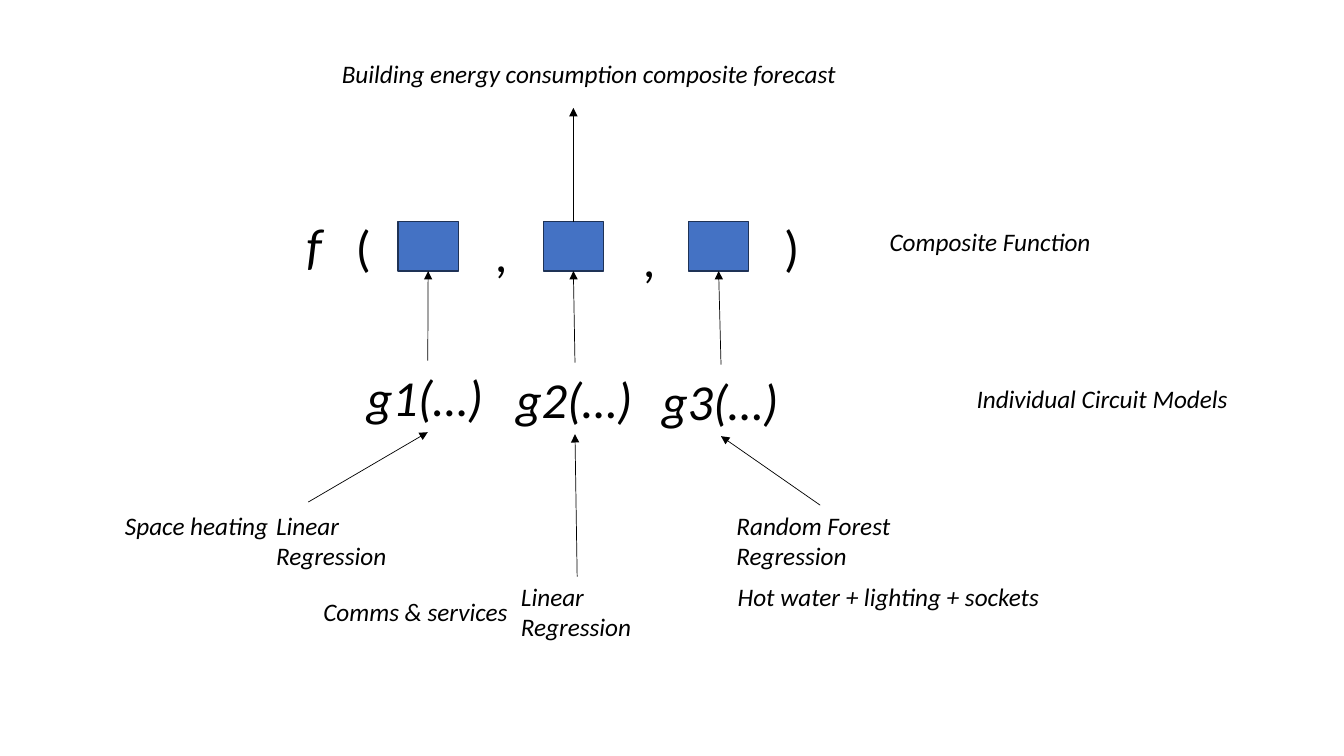
from dataclasses import dataclass

from lxml import etree
from pptx import Presentation
from pptx.dml.color import RGBColor
from pptx.enum import shapes, text
from pptx.oxml import ns
from pptx.util import Cm, Pt

TOP, BOTTOM = 0, 2
SMALL_LINE, LARGE_LINE = 1.02, 1.8


@dataclass(frozen=True)
class Theme:
    font: str = "Calibri"
    ink: RGBColor = RGBColor(0x00, 0x00, 0x00)
    slot_fill: RGBColor = RGBColor(0x44, 0x72, 0xC4)
    slot_edge: RGBColor = RGBColor(0x1E, 0x32, 0x56)
    formula: int = 36
    label: int = 18
    edge: float = 1
    arrow: float = 0.5


@dataclass(frozen=True)
class Label:
    text: str
    left: float
    top: float
    width: float
    height: float = SMALL_LINE
    size: int = Theme.label
    italic: bool = True


@dataclass(frozen=True)
class Symbol(Label):
    """A large sign of the formula."""
    height: float = LARGE_LINE
    size: int = Theme.formula


THEME = Theme()
SLOT_LEFT, SLOT_TOP, SLOT_STEP = 10.03, 5.59, 3.66
SLOT_WIDTH, SLOT_HEIGHT = 1.52, 1.24

TITLE = Label("Building energy consumption composite forecast", 8.36, 1.35, 13.11)
SIGNS = (
    Symbol("f", 7.47, 5.26, 0.91),
    Symbol("(", 8.71, 5.31, 0.89, italic=False),
    Symbol(",", 12.22, 5.46, 0.84, italic=False),
    Symbol(",", 15.95, 5.59, 0.84, italic=False),
    Symbol(")", 19.51, 5.31, 0.89, italic=False),
)
MODELS = (
    Symbol("g1(…)", 8.99, 9.09, 3.58),
    Symbol("g2(…)", 12.75, 9.14, 3.48),
    Symbol("g3(…)", 16.43, 9.19, 3.48),
)
METHODS = (
    Label("Linear\nRegression", 6.71, 12.73, 3.33, LARGE_LINE),
    Label("Linear\nRegression", 12.88, 14.53, 3.33, LARGE_LINE),
    Label("Random Forest\nRegression", 18.31, 12.73, 4.72, LARGE_LINE),
)
CAPTIONS = (
    Label("Space heating", 2.9, 12.73, 4.32),
    Label("Comms & services", 7.9, 14.91, 5.21),
    Label("Hot water + lighting + sockets", 18.34, 14.53, 8.36),
    Label("Composite Function", 22.17, 5.59, 5.64),
    Label("Individual Circuit Models", 24.36, 9.53, 6.91),
)


def write_label(sp, label: Label):
    """Place a text shape and fill it with the label's formatted wording."""
    sp.left, sp.top = Cm(label.left), Cm(label.top)
    sp.width, sp.height = Cm(label.width), Cm(label.height)
    tf = sp.text_frame
    tf.text = label.text
    tf.word_wrap = False
    tf.auto_size = text.MSO_AUTO_SIZE.SHAPE_TO_FIT_TEXT
    tf.vertical_anchor = text.MSO_ANCHOR.TOP
    for p in tf.paragraphs:
        p.alignment = text.PP_ALIGN.LEFT
        for r in p.runs:
            r.font.name = THEME.font
            r.font.size = Pt(label.size)
            r.font.italic = label.italic
            r.font.color.rgb = THEME.ink
    return sp


def add_label(slide, label: Label):
    return write_label(slide.shapes.add_textbox(0, 0, 0, 0), label)


def add_slot(slide, index: int):
    sp = slide.shapes.add_shape(
        shapes.MSO_SHAPE.RECTANGLE, Cm(SLOT_LEFT + index * SLOT_STEP),
        Cm(SLOT_TOP), Cm(SLOT_WIDTH), Cm(SLOT_HEIGHT))
    sp.shadow.inherit = False
    sp.fill.solid()
    sp.fill.fore_color.rgb = THEME.slot_fill
    sp.line.color.rgb = THEME.slot_edge
    sp.line.width = Pt(THEME.edge)
    return sp


def add_arrow(slide, x1: float = 0, y1: float = 0, x2: float = 0, y2: float = 0):
    """Draw an unshadowed line with a triangle at its end."""
    line = slide.shapes.add_connector(
        shapes.MSO_CONNECTOR.STRAIGHT, Cm(x1), Cm(y1), Cm(x2), Cm(y2))
    line.line.color.rgb = THEME.ink
    line.line.width = Pt(THEME.arrow)
    etree.SubElement(line.line._get_or_add_ln(), ns.qn("a:tailEnd"), type="triangle")
    etree.SubElement(line._element.spPr, ns.qn("a:effectLst"))
    return line


def join_upward(slide, lower, upper) -> None:
    line = add_arrow(slide)
    line.begin_connect(lower, TOP)
    line.end_connect(upper, BOTTOM)


def main() -> None:
    prs = Presentation()
    prs.slide_width, prs.slide_height = Cm(33.87), Cm(19.05)
    slide = prs.slides.add_slide(prs.slide_layouts[5])
    write_label(slide.shapes.title, TITLE)

    slots = [add_slot(slide, i) for i in range(len(MODELS))]
    for label in SIGNS + CAPTIONS:
        add_label(slide, label)
    models = [add_label(slide, label) for label in MODELS]
    methods = [add_label(slide, label) for label in METHODS]

    for model, slot in zip(models, slots):
        join_upward(slide, model, slot)
    for method, model in zip(methods[1:], models[1:]):
        join_upward(slide, method, model)
    add_arrow(slide, 7.77, 12.65).end_connect(models[0], BOTTOM)
    middle = SLOT_LEFT + SLOT_STEP + SLOT_WIDTH / 2
    add_arrow(slide, x2=middle, y2=2.72).begin_connect(slots[1], TOP)

    prs.save("out.pptx")


if __name__ == "__main__":
    main()
